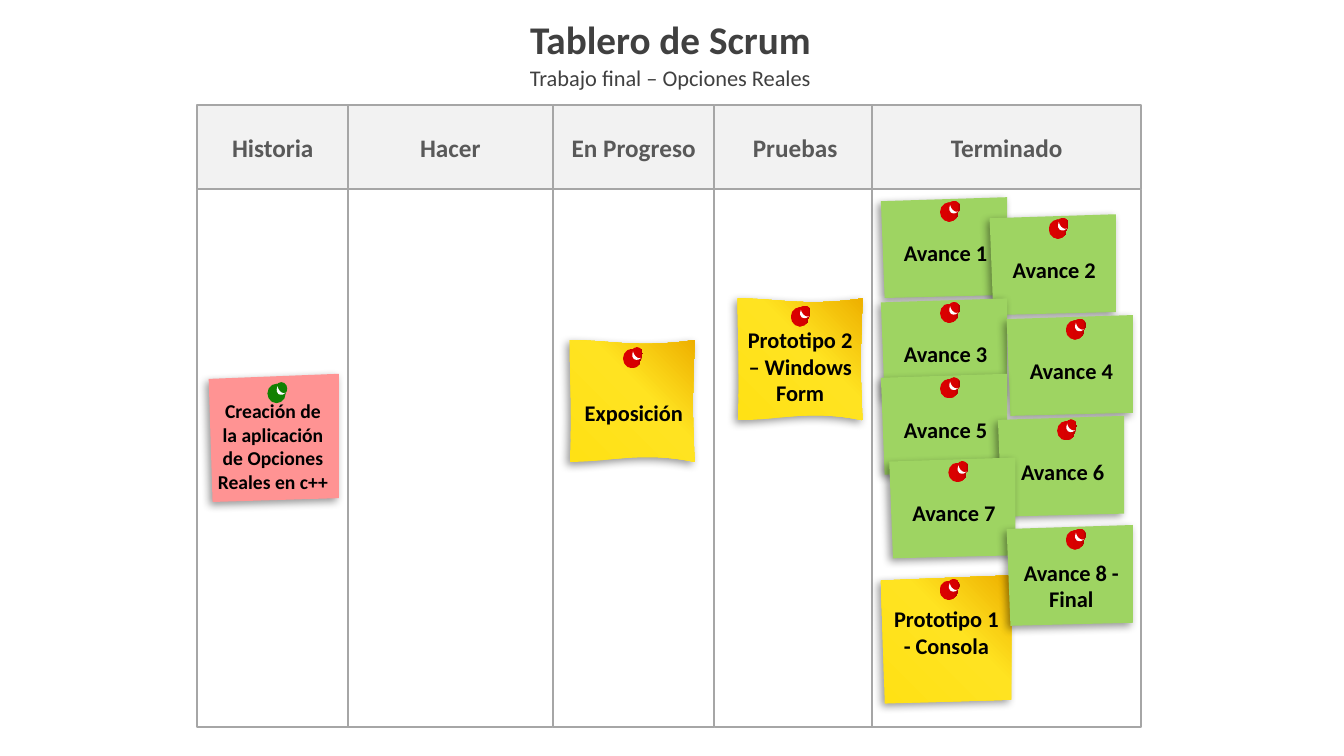
from lxml import etree
from pptx import Presentation
from pptx import util as u
from pptx.dml.color import RGBColor
from pptx.enum import shapes, text
from pptx.oxml import ns, parse_xml

FONT = "Calibri"
TITLE = "Tablero de Scrum"
SUBTITLE = "Trabajo final – Opciones Reales"

# Lengths are centimetres: heading, left, width
COLUMNS = [
    ("Historia", 4.97, 3.81),
    ("Hacer", 8.77, 5.16),
    ("En Progreso", 13.94, 4.06),
    ("Pruebas", 18.01, 4.06),
    ("Terminado", 21.98, 6.78),
]
HEAD_TOP, HEAD_HEIGHT = 2.65, 2.11
BODY_TOP, BODY_HEIGHT = 4.78, 13.54

# Gradients are (angle, stops); plain colours are hex strings
YELLOW = (315, [(0, "FFE115"), (58, "FFE321"), (100, "EEB000")])
RED = (0, [(0, "DA0000"), (80, "D60000"), (100, "AC0000")])
PINK, GREEN, PIN_GREEN = "FF9393", "9ED462", "118002"

# Outlines are fractions of the width and height: a start, then segments
# of one point (straight) or three points (Bezier curve)
TILTED = [[(1, 0)], [(1, 0.97)], [(0.03, 1)], [(0, 0.04)]]
CURLED = [
    [(0, 0)],
    [(0.33, 0), (0.53, 0.07), (1, 0)],
    [(0.98, 0.5), (0.98, 0.6), (1, 1)],
    [(0.57, 0.91), (0.33, 1), (0, 1)],
    [(0.02, 0.55), (0, 0.33), (0, 0)],
]
GLINT = [
    [(0.1, 0.1)],
    [(0.1, 0), (0.1, 0.35), (0.35, 0.65)],
    [(0.65, 1), (1, 0.9), (1, 0.85)],
    [(0.9, 1), (0.55, 1.2), (0.2, 1)],
    [(-0.2, 0.6), (0.15, 0.2), (0.1, 0.1)],
]

# Paper kinds: outline, width, height, fill, pin offset, pin colour, text width
PAPERS = {
    "story": (TILTED, 3.28, 3.23, PINK, (1.48, 0.25), PIN_GREEN, 2.84),
    "curled": (CURLED, 3.15, 3.07, YELLOW, (1.34, 0.22), RED, 2.79),
    "prototype": (TILTED, 3.28, 3.23, YELLOW, (1.48, 0.13), RED, 2.84),
    "advance": (TILTED, 3.18, 2.54, GREEN, (1.49, 0.13), RED, 2.84),
}

# Notes: words, paper, left, top, text offset, lines, text size
NOTES = [
    ("Creación de la aplicación de Opciones Reales en c++", "story",
     5.26, 9.42, (0.2, 0.64), 4, 14),
    ("Prototipo 2 – Windows Form", "curled", 18.59, 7.52, (0.18, 0.69), 3, 16),
    ("Exposición", "curled", 14.36, 8.57, (0.22, 1.49), 1, 16),
    ("Prototipo 1 - Consola", "prototype", 22.2, 14.5, (0.23, 0.76), 2, 16),
]
ADVANCE_PLACES = [(22.2, 4.97), (24.94, 5.4), (22.2, 7.52), (25.37, 7.94),
                  (22.2, 9.42), (25.15, 10.48), (22.41, 11.53)]
NOTES += [(f"Avance {number}", "advance", left, top, (0.21, 1.06), 1, 16)
          for number, (left, top) in enumerate(ADVANCE_PLACES, 1)]
NOTES.append(("Avance 8 - Final", "advance", 25.37, 13.23, (0.21, 0.85), 2, 16))


def color(value):
    """Turn a hex string into a colour."""
    return RGBColor.from_string(value)


def cm(*values):
    """Convert centimetre values to lengths."""
    return [u.Cm(value) for value in values]


def assign(target, values):
    """Set each attribute named in a dict."""
    for name, value in values.items():
        setattr(target, name, value)


def paint(shape, fill, line=None):
    """Give a shape a plain or gradient fill and an optional thin line."""
    shape.shadow.inherit = False
    shape.fill.solid()
    if isinstance(fill, str):
        shape.fill.fore_color.rgb = color(fill)
    else:
        angle, stops = fill
        marks = "".join(f'<a:gs pos="{at * 1000}"><a:srgbClr val="{value}"/></a:gs>'
                        for at, value in stops)
        properties = shape._element.spPr
        properties.replace(properties.find(ns.qn("a:solidFill")), parse_xml(
            f'<a:gradFill {ns.nsdecls("a")} rotWithShape="1"><a:gsLst>{marks}</a:gsLst>'
            f'<a:lin ang="{angle * 60000}" scaled="0"/></a:gradFill>'))
    if line:
        shape.line.color.rgb = color(line)
        shape.line.width = u.Pt(1)
    else:
        shape.line.fill.background()


def cast_shadow(shape):
    """Add a soft shadow to the lower left of a painted shape."""
    effects = shape._element.spPr.find(ns.qn("a:effectLst"))
    shadow = etree.SubElement(effects, ns.qn("a:outerShdw"), blurRad=str(u.Pt(6)),
                              dist=str(u.Pt(3)), dir=str(135 * 60000),
                              algn="tr", rotWithShape="0")
    black = etree.SubElement(shadow, ns.qn("a:srgbClr"), val="000000")
    etree.SubElement(black, ns.qn("a:alpha"), val="40000")


def write(box, words, size, ink, bold=False, spacing=None, **frame_values):
    """Write one centred paragraph and format its frame."""
    assign(box.text_frame, {"word_wrap": True, **frame_values})
    para = box.text_frame.paragraphs[0]
    assign(para, {"alignment": text.PP_ALIGN.CENTER, "line_spacing": spacing})
    span = para.add_run()
    span.text = words
    assign(span.font, {"name": FONT, "size": u.Pt(size), "bold": bold})
    span.font.color.rgb = color(ink)


def add_outline(parent, outline, left, top, width, height, fill):
    """Draw a closed outline of lines and curves scaled into a frame."""
    segments = [[cm(left + x * width, top + y * height) for x, y in segment]
                for segment in outline]
    ends = [segment[-1] for segment in segments]
    builder = parent.build_freeform(*ends[0])
    builder.add_line_segments(ends[1:], close=True)
    shape = builder.convert_to_shape()
    lines = list(shape._element.iter(ns.qn("a:lnTo")))
    for line, segment in zip(lines, segments[1:]):
        if len(segment) == 3:
            bend = etree.Element(ns.qn("a:cubicBezTo"))
            for x, y in segment:
                etree.SubElement(bend, ns.qn("a:pt"), x=str(x - shape.left),
                                 y=str(y - shape.top))
            line.getparent().replace(line, bend)
    paint(shape, fill)
    return shape


def add_pin(parent, left, top, fill):
    """Draw a pin: ball, cap and glint."""
    for dx, dy, width, height in [(0, 0, 0.46, 0.49), (0.2, -0.04, 0.3, 0.33)]:
        paint(parent.add_shape(shapes.MSO_SHAPE.OVAL,
                               *cm(left + dx, top + dy, width, height)), fill)
    add_outline(parent, GLINT, left + 0.23, top + 0.04, 0.23, 0.22, "FFFFFF")


def add_note(page, words, paper, left, top, text_offset, lines, size):
    """Draw one pinned note; the story groups its pin alone."""
    outline, width, height, fill, (pin_x, pin_y), pin_fill, text_width = PAPERS[paper]
    alone = paper == "story"
    parent = page.shapes if alone else page.shapes.add_group_shape().shapes
    cast_shadow(add_outline(parent, outline, left, top, width, height, fill))
    box = parent.add_textbox(*cm(left + text_offset[0], top + text_offset[1],
                                 text_width, lines * size * 0.043))
    write(box, words, size, "000000", True, margin_left=0, margin_right=0,
          margin_top=0, margin_bottom=0, auto_size=text.MSO_AUTO_SIZE.SHAPE_TO_FIT_TEXT)
    pin_parent = parent.add_group_shape().shapes if alone else parent
    add_pin(pin_parent, left + pin_x, top + pin_y, pin_fill)


def add_column(page, heading, left, width):
    """Draw a board column with its heading cell."""
    rectangle = shapes.MSO_SHAPE.RECTANGLE
    body = page.shapes.add_shape(rectangle, *cm(left, BODY_TOP, width, BODY_HEIGHT))
    paint(body, "FFFFFF", "A6A6A6")
    head = page.shapes.add_shape(rectangle, *cm(left, HEAD_TOP, width, HEAD_HEIGHT))
    paint(head, "F2F2F2", "A6A6A6")
    write(head, heading, 18, "595959", True, vertical_anchor=text.MSO_ANCHOR.MIDDLE)


deck = Presentation()
assign(deck, {"slide_width": u.Cm(33.87), "slide_height": u.Cm(19.05)})
page = deck.slides.add_slide(deck.slide_layouts.get_by_name("Title Only"))

title = page.shapes.title
assign(title, dict(zip(("left", "top", "width", "height"), cm(8.54, 0.42, 16.71, 1.27))))
write(title, TITLE, 28, "404040", True, 0.9, vertical_anchor=text.MSO_ANCHOR.MIDDLE,
      auto_size=text.MSO_AUTO_SIZE.NONE)
subtitle = page.shapes.add_textbox(*cm(13.06, 1.5, 7.67, 0.94))
write(subtitle, SUBTITLE, 16, "404040", word_wrap=False,
      auto_size=text.MSO_AUTO_SIZE.SHAPE_TO_FIT_TEXT)

for column in COLUMNS:
    add_column(page, *column)
for note in NOTES:
    add_note(page, *note)

deck.save("out.pptx")
